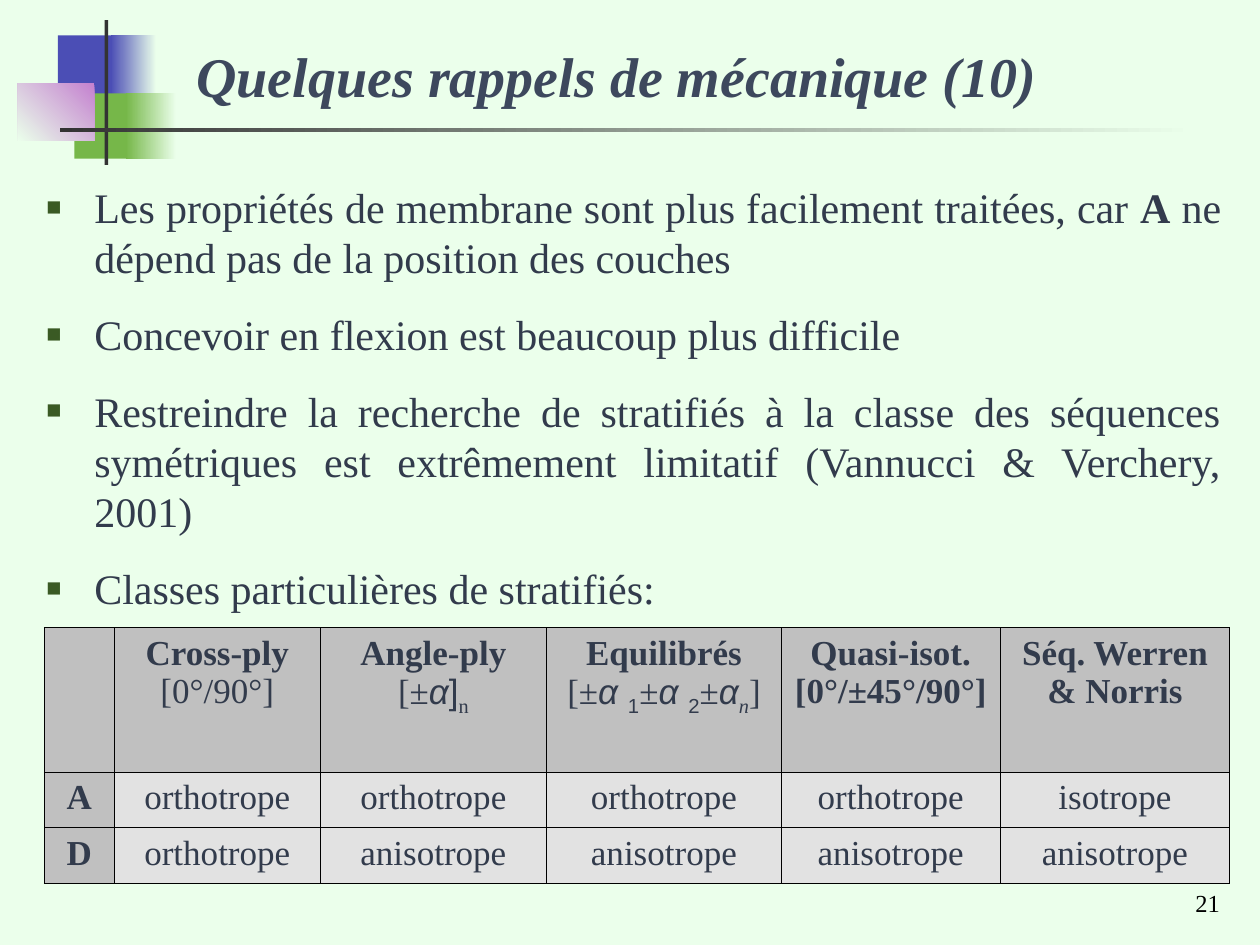
from lxml import etree
from pptx import Presentation
from pptx.dml.color import RGBColor
from pptx.enum.shapes import MSO_SHAPE
from pptx.enum.text import MSO_ANCHOR, PP_ALIGN
from pptx.oxml.ns import qn
from pptx.util import Inches, Pt

RECTANGLE = MSO_SHAPE.RECTANGLE
TOP, BOTTOM = MSO_ANCHOR.TOP, MSO_ANCHOR.BOTTOM
LEFT, CENTER, RIGHT, JUSTIFY = PP_ALIGN.LEFT, PP_ALIGN.CENTER, PP_ALIGN.RIGHT, PP_ALIGN.JUSTIFY

MINT = RGBColor(0xEB, 0xFF, 0xEB)
BLUE = RGBColor(0x4B, 0x4E, 0xB5)
GREEN = RGBColor(0x76, 0xB7, 0x49)
MAUVE = RGBColor(0xC4, 0x81, 0xCF)
CHARCOAL = RGBColor(0x33, 0x33, 0x33)
TITLE_SLATE = RGBColor(0x3D, 0x48, 0x5D)
SLATE = RGBColor(0x32, 0x3B, 0x4C)
BULLET_GREEN = RGBColor(0x3A, 0x5A, 0x24)
HEADER_GREY = RGBColor(0xC0, 0xC0, 0xC0)
CELL_GREY = RGBColor(0xE2, 0xE2, 0xE2)
BLACK = RGBColor(0, 0, 0)

SERIF, SANS = "Times New Roman", "Arial"
BOLD, ITALIC, SUBSCRIPT, SANS_MARK = "b", "i", "s", "a"

ORNAMENTS = [
    ((0.46, 0.28, 0.48, 0.52), (BLUE,), 0),
    ((0.88, 0.28, 0.36, 0.52), (MINT, BLUE), 180),
    ((0.59, 0.74, 0.46, 0.52), (GREEN,), 0),
    ((1, 0.74, 0.4, 0.52), (MINT, GREEN), 180),
    ((0.14, 0.66, 0.61, 0.46), (MAUVE, MINT), 225),
    ((0.83, 0.16, 0.03, 1.15), (CHARCOAL,), 0),
    ((0.48, 1.02, 9, 0.03), (MINT, CHARCOAL), 180),
]

TITLE = [[("Quelques rappels de mécanique (10)", "bi")]]
POINTS = [
    [("Les propriétés de membrane sont plus facilement traitées, car ", ""), ("A", "b"),
     (" ne dépend pas de la position des couches", "")],
    [("Concevoir en flexion est beaucoup plus difficile", "")],
    [("Restreindre la recherche de stratifiés à la classe des séquences symétriques "
      "est extrêmement limitatif (Vannucci & Verchery, 2001)", "")],
    [("Classes particulières de stratifiés:", "")],
]
PAGE_NUMBER = [[("21", "")]]

CLASSES = [
    [],
    [[("Cross-ply", "b")], [("[0°/90°]", "")]],
    [[("Angle-ply", "b")], [("[±", ""), ("α", "ai"), ("]", "a"), ("n", "s")]],
    [[("Equilibrés", "b")],
     [("[±", ""), ("α ", "ai"), ("1", "as"), ("±", ""), ("α ", "ai"), ("2", "as"),
      ("±", ""), ("α", "ai"), ("n", "is"), ("]", "")]],
    [[("Quasi-isot.", "b")], [("[0°/±45°/90°]", "b")]],
    [[("Séq. Werren & Norris", "b")]],
]
BEHAVIOURS = [
    ("A", "orthotrope", "orthotrope", "orthotrope", "orthotrope", "isotrope"),
    ("D", "orthotrope", "anisotrope", "anisotrope", "anisotrope", "anisotrope"),
]
COLUMN_WIDTHS = [0.56, 1.63, 1.8, 1.86, 1.74, 1.82]
ROW_HEIGHTS = [1.15, 0.44, 0.44]


def inches(box):
    return [Inches(length) for length in box]


def write(frame, paragraphs, size, color, align):
    for index, runs in enumerate(paragraphs):
        paragraph = frame.paragraphs[0] if index == 0 else frame.add_paragraph()
        paragraph.alignment = align
        for text, marks in runs:
            run = paragraph.add_run()
            run.text = text
            font = run.font
            font.name = SANS if SANS_MARK in marks else SERIF
            font.size = Pt(size)
            font.color.rgb = color
            font.bold = BOLD in marks
            font.italic = ITALIC in marks
            if SUBSCRIPT in marks:
                run._r.get_or_add_rPr().set("baseline", "-25000")


def add_text(slide, box, paragraphs, size, color, align, anchor):
    frame = slide.shapes.add_textbox(*inches(box)).text_frame
    frame.word_wrap = True
    frame.vertical_anchor = anchor
    write(frame, paragraphs, size, color, align)
    return frame


def add_bullet(paragraph):
    properties = paragraph._p.get_or_add_pPr()
    properties.set("marL", str(Inches(0.38)))
    properties.set("indent", str(-Inches(0.38)))
    color = etree.SubElement(properties, qn("a:buClr"))
    etree.SubElement(color, qn("a:srgbClr"), val=str(BULLET_GREEN))
    etree.SubElement(properties, qn("a:buSzPct"), val="60000")
    etree.SubElement(properties, qn("a:buFont"), typeface=SERIF)
    etree.SubElement(properties, qn("a:buChar"), char="■")


def fill_cell(cell, paragraphs, color):
    write(cell.text_frame, paragraphs, 20, SLATE, CENTER)
    properties = cell._tc.get_or_add_tcPr()
    for side in ("a:lnL", "a:lnR", "a:lnT", "a:lnB"):
        line = etree.SubElement(properties, qn(side), w=str(Pt(0.45)))
        line_fill = etree.SubElement(line, qn("a:solidFill"))
        etree.SubElement(line_fill, qn("a:srgbClr"), val=str(BLACK))
    cell.fill.solid()
    cell.fill.fore_color.rgb = color


def add_ornament(slide, box, colors, angle):
    ornament = slide.shapes.add_shape(RECTANGLE, *inches(box))
    ornament.shadow.inherit = False
    ornament.line.fill.background()
    if len(colors) == 1:
        ornament.fill.solid()
        ornament.fill.fore_color.rgb = colors[0]
    else:
        ornament.fill.gradient()
        ornament.fill.gradient_angle = angle
        for stop, color in zip(ornament.fill.gradient_stops, colors):
            stop.color.rgb = color


def add_classes_table(slide):
    rows = [CLASSES] + [
        [[[(text, "" if column else BOLD)]] for column, text in enumerate(row)]
        for row in BEHAVIOURS
    ]
    box = (0.35, 4.98, sum(COLUMN_WIDTHS), sum(ROW_HEIGHTS))
    table = slide.shapes.add_table(len(rows), len(COLUMN_WIDTHS), *inches(box)).table
    for column, width in zip(table.columns, COLUMN_WIDTHS):
        column.width = Inches(width)
    for row, height in zip(table.rows, ROW_HEIGHTS):
        row.height = Inches(height)
    for r, row in enumerate(rows):
        for c, paragraphs in enumerate(row):
            color = CELL_GREY if r and c else HEADER_GREY
            fill_cell(table.cell(r, c), paragraphs, color)


def main():
    deck = Presentation()
    deck.slide_width, deck.slide_height = Inches(10), Inches(7.5)
    slide = deck.slides.add_slide(deck.slide_layouts[6])
    slide.background.fill.solid()
    slide.background.fill.fore_color.rgb = MINT

    for ornament in ORNAMENTS:
        add_ornament(slide, *ornament)
    add_text(slide, (1.46, 0.23, 8.32, 0.68), TITLE, 32, TITLE_SLATE, LEFT, BOTTOM)
    points = add_text(slide, (0.27, 1.39, 9.52, 5.59), POINTS, 24, SLATE, JUSTIFY, TOP)
    for index, paragraph in enumerate(points.paragraphs):
        add_bullet(paragraph)
        if index:
            paragraph.space_before = Pt(15)
    add_classes_table(slide)
    add_text(slide, (7.7, 6.83, 2.08, 0.5), PAGE_NUMBER, 14, BLACK, RIGHT, BOTTOM)
    deck.save("out.pptx")


if __name__ == "__main__":
    main()
